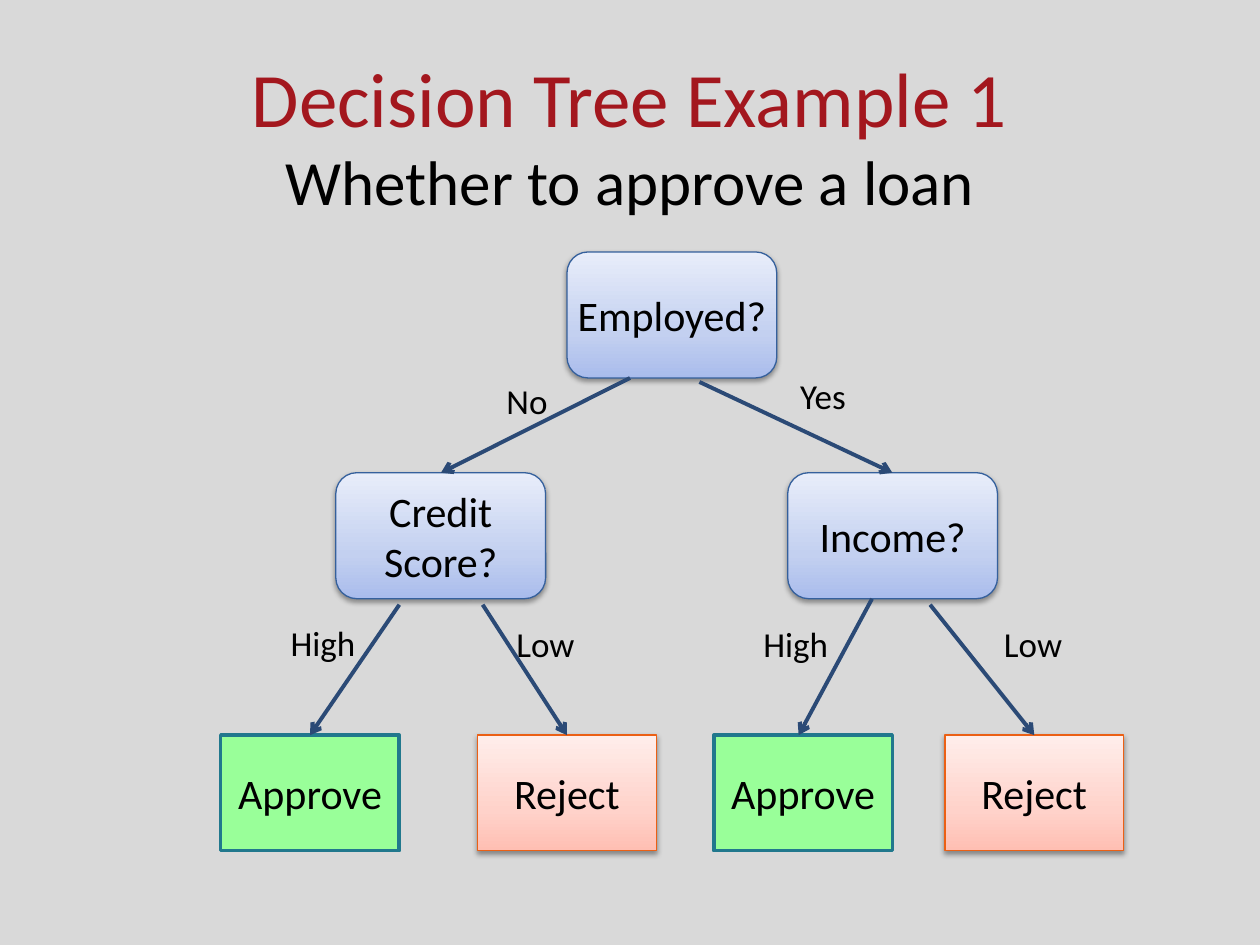
from dataclasses import dataclass
from typing import Optional

from lxml.etree import SubElement
from pptx import Presentation
from pptx.dml.color import RGBColor
from pptx.enum.dml import MSO_THEME_COLOR
from pptx.enum.shapes import MSO_CONNECTOR, MSO_SHAPE
from pptx.enum.text import MSO_ANCHOR, MSO_AUTO_SIZE, PP_ALIGN
from pptx.oxml.ns import qn
from pptx.util import Cm, Pt

FONT = "Calibri"
BLACK = RGBColor(0x00, 0x00, 0x00)
BACKGROUND = RGBColor(0xD9, 0xD9, 0xD9)
TITLE_RED = RGBColor(0xA3, 0x17, 0x1E)
ARROW_BLUE = RGBColor(0x2B, 0x4A, 0x76)
QUESTION_LINE = RGBColor(0x35, 0x60, 0x9C)
QUESTION_FILL = (RGBColor(0xA9, 0xBC, 0xEC), RGBColor(0xC3, 0xD0, 0xF0), RGBColor(0xE8, 0xED, 0xFA))
APPROVE_LINE = RGBColor(0x21, 0x78, 0x8D)
APPROVE_FILL = (RGBColor(0x99, 0xFF, 0x99),)
REJECT_LINE = RGBColor(0xEB, 0x60, 0x15)
REJECT_FILL = (RGBColor(0xFF, 0xBF, 0xB3), RGBColor(0xFF, 0xD2, 0xCA), RGBColor(0xFF, 0xEE, 0xEB))
GRADIENT_STOPS = (0, 35, 100)


@dataclass(frozen=True)
class NodeStyle:
    outline: MSO_SHAPE
    width: float
    height: float
    fill: tuple[RGBColor, ...]
    line: RGBColor
    line_width: float


@dataclass(frozen=True)
class Node:
    text: str
    left: float
    top: float
    style: NodeStyle


@dataclass(frozen=True)
class Branch:
    answer: str
    label: tuple[float, float, float]  # left, top, width
    start: tuple[float, float]
    end: tuple[float, float]


# Tree content, lengths in centimetres
QUESTION = NodeStyle(MSO_SHAPE.ROUNDED_RECTANGLE, 4.23, 2.54, QUESTION_FILL, QUESTION_LINE, 0.75)
APPROVE = NodeStyle(MSO_SHAPE.RECTANGLE, 3.6, 2.33, APPROVE_FILL, APPROVE_LINE, 2)
REJECT = NodeStyle(MSO_SHAPE.RECTANGLE, 3.6, 2.33, REJECT_FILL, REJECT_LINE, 0.75)
ROOT_TOP, MIDDLE_TOP, LEAF_TOP = 5.08, 9.53, 14.82
LABEL_HEIGHT = 1.11

NODES = (
    Node("Employed?", 11.43, ROOT_TOP, QUESTION),
    Node("Credit Score?", 6.77, MIDDLE_TOP, QUESTION),
    Node("Income?", 15.88, MIDDLE_TOP, QUESTION),
    Node("Approve", 4.45, LEAF_TOP, APPROVE),
    Node("Approve", 14.39, LEAF_TOP, APPROVE),
    Node("Reject", 9.63, LEAF_TOP, REJECT),
    Node("Reject", 19.05, LEAF_TOP, REJECT),
)
BRANCHES = (
    Branch("No", (9.96, 7.52, 1.35), (12.7, 7.62), (8.89, MIDDLE_TOP)),
    Branch("Yes", (15.88, 7.42, 1.45), (14.1, 7.7), (17.99, MIDDLE_TOP)),
    Branch("High", (5.61, 12.4, 1.83), (8.05, 12.19), (6.25, LEAF_TOP)),
    Branch("Low", (10.16, 12.42, 1.7), (9.73, 12.19), (11.43, LEAF_TOP)),
    Branch("High", (15.14, 12.42, 1.83), (17.58, 12.07), (16.1, LEAF_TOP)),
    Branch("Low", (19.99, 12.42, 1.7), (18.75, 12.19), (20.85, LEAF_TOP)),
)


def add_run(paragraph, text: str, size: float, color: RGBColor = BLACK) -> None:
    run = paragraph.add_run()
    run.text = text
    run.font.name = FONT
    run.font.size = Pt(size)
    run.font.color.rgb = color


def add_color(parent, color: RGBColor, alpha: Optional[int] = None) -> None:
    value = SubElement(parent, qn("a:srgbClr"), val=str(color))
    if alpha is not None:
        SubElement(value, qn("a:alpha"), val=str(alpha * 1000))


def fill_gradient(shape, colors: tuple[RGBColor, ...]) -> None:
    shape.fill.gradient()
    shape.fill.gradient_angle = 90
    stops = shape._element.spPr.find(qn("a:gradFill")).find(qn("a:gsLst"))
    for old_stop in list(stops):
        stops.remove(old_stop)
    for position, color in zip(GRADIENT_STOPS, colors):
        add_color(SubElement(stops, qn("a:gs"), pos=str(position * 1000)), color)


def add_node(slide, node: Node) -> None:
    style = node.style
    shape = slide.shapes.add_shape(
        style.outline, Cm(node.left), Cm(node.top), Cm(style.width), Cm(style.height))
    shape.line.color.rgb = style.line
    shape.line.width = Pt(style.line_width)
    shape.shadow.inherit = False
    if len(style.fill) == 1:
        shape.fill.solid()
        shape.fill.fore_color.rgb = style.fill[0]
    else:
        fill_gradient(shape, style.fill)
        # Soft shadow below the gradient boxes
        effects = shape._element.spPr.find(qn("a:effectLst"))
        shadow = SubElement(effects, qn("a:outerShdw"), blurRad=str(Pt(3.1)),
                            dist=str(Pt(1.6)), dir="5400000", rotWithShape="0")
        add_color(shadow, BLACK, alpha=38)
    frame = shape.text_frame
    frame.word_wrap = True
    frame.vertical_anchor = MSO_ANCHOR.MIDDLE
    frame.margin_left = frame.margin_right = frame.margin_top = frame.margin_bottom = 0
    frame.paragraphs[0].alignment = PP_ALIGN.CENTER
    add_run(frame.paragraphs[0], node.text, 24)


def add_arrow(slide, branch: Branch) -> None:
    arrow = slide.shapes.add_connector(
        MSO_CONNECTOR.STRAIGHT, *(Cm(value) for value in branch.start + branch.end))
    arrow.line.color.rgb = ARROW_BLUE
    arrow.line.width = Pt(2.25)
    SubElement(arrow.line._get_or_add_ln(), qn("a:tailEnd"), type="arrow")
    SubElement(arrow._element.spPr, qn("a:effectLst"))


def add_answer(slide, branch: Branch) -> None:
    left, top, width = branch.label
    answer = slide.shapes.add_textbox(Cm(left), Cm(top), Cm(width), Cm(LABEL_HEIGHT))
    answer.text_frame.word_wrap = False
    answer.text_frame.auto_size = MSO_AUTO_SIZE.SHAPE_TO_FIT_TEXT
    add_run(answer.text_frame.paragraphs[0], branch.answer, 20)


def add_title(slide) -> None:
    title = slide.shapes.title
    title.left, title.top, title.width, title.height = Cm(1.27), Cm(0.76), Cm(22.86), Cm(3.89)
    title.text_frame.auto_size = MSO_AUTO_SIZE.NONE
    title.text_frame.vertical_anchor = MSO_ANCHOR.MIDDLE
    heading = title.text_frame.paragraphs[0]
    heading.alignment = PP_ALIGN.CENTER
    add_run(heading, "Decision Tree Example 1", 44, TITLE_RED)
    heading.add_line_break()
    add_run(heading, "Whether to approve a loan", 36)


def main() -> None:
    deck = Presentation()
    deck.slide_width, deck.slide_height = Cm(25.4), Cm(19.05)
    slide = deck.slides.add_slide(deck.slide_layouts.get_by_name("Title Only"))
    slide.background.fill.solid()
    slide.background.fill.fore_color.rgb = BACKGROUND
    add_title(slide)
    # Questions and decisions, then arrows, then their answers
    for node in NODES:
        add_node(slide, node)
    for branch in BRANCHES:
        add_arrow(slide, branch)
    for branch in BRANCHES:
        add_answer(slide, branch)
    deck.save("out.pptx")


main()
